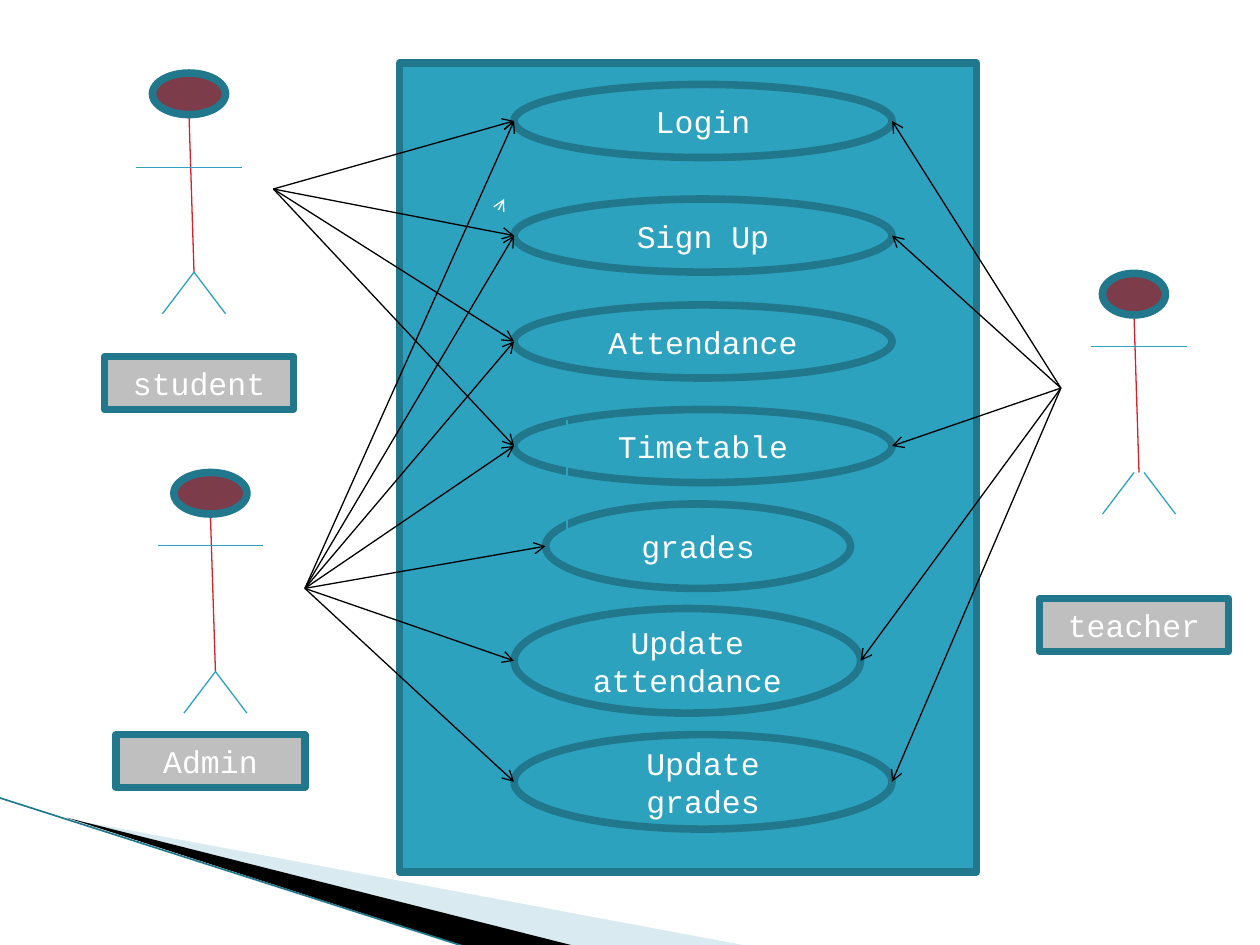
from dataclasses import dataclass

from lxml import etree
from pptx import Presentation
from pptx import util as u
from pptx.dml import color
from pptx.enum import shapes, text
from pptx.oxml import ns

COLORS = {
    "teal": "2DA2BF", "edge": "21788D", "head": "7D3C4A", "body": "DA1F28",
    "label": "BFBFBF", "pale": "A0CBDC", "rule": "97C5D8",
    "white": "FFFFFF", "black": "000000",
}
FONT = {"name": "Courier New", "size": u.Pt(18)}
FRAME = {"word_wrap": True, "vertical_anchor": text.MSO_ANCHOR.MIDDLE}
OVAL = shapes.MSO_SHAPE.OVAL
RECT = shapes.MSO_SHAPE.RECTANGLE


@dataclass
class UseCase:
    name: str
    left: float
    top: float
    width: float
    height: float

    @property
    def mid(self) -> float:
        return self.top + self.height / 2


@dataclass
class Actor:
    name: str
    x: float
    top: float
    head: float
    arm_x: float
    arm_y: float
    arm: float
    leg_gap: float
    label: tuple[float, float]
    hub: tuple[float, float]
    uses: list[str]


CASES = [
    UseCase("Login", 4.08, 0.67, 3, 0.58),
    UseCase("Sign Up", 4.08, 1.58, 3, 0.58),
    UseCase("Attendance", 4.08, 2.42, 3, 0.58),
    UseCase("Timetable", 4.08, 3.25, 3, 0.58),
    UseCase("grades", 4.33, 4, 2.42, 0.67),
    UseCase("Update attendance", 4.08, 4.83, 2.75, 0.83),
    UseCase("Update grades", 4.08, 5.83, 3, 0.75),
]
NAMES = [c.name for c in CASES]
ACTORS = [
    Actor("student", 1.5, 0.58, 0.58, 1.5, 1.33, 0.42, 0,
          (0.83, 2.83), (2.17, 1.5), NAMES[:4]),
    Actor("Admin", 1.67, 3.75, 0.58, 1.67, 4.33, 0.42, 0,
          (0.92, 5.83), (2.42, 4.67), NAMES),
    Actor("teacher", 9, 2.17, 0.5, 9.04, 2.75, 0.38, 0.04,
          (8.25, 4.75), (8.42, 3.08), NAMES[:2] + NAMES[3:4] + NAMES[5:]),
]

prs = Presentation()
prs.slide_width, prs.slide_height = u.Inches(10), u.Inches(7.5)
s = prs.slides.add_slide(prs.slide_layouts[6])


def rgb(key: str) -> color.RGBColor:
    return color.RGBColor.from_string(COLORS[key])


def apply(obj, values: dict) -> None:
    for name, value in values.items():
        setattr(obj, name, value)


def add_box(kind, left: float, top: float, width: float, height: float,
            fill: str, label: str = "") -> None:
    sp = s.shapes.add_shape(kind, *map(u.Inches, (left, top, width, height)))
    sp.shadow.inherit = False
    sp.fill.solid()
    sp.fill.fore_color.rgb = rgb(fill)
    sp.line.color.rgb = rgb("edge")
    sp.line.width = u.Pt(4.33)
    if label:
        tf = sp.text_frame
        apply(tf, FRAME)
        p = tf.paragraphs[0]
        p.alignment = text.PP_ALIGN.CENTER
        r = p.add_run()
        r.text = label
        apply(r.font, FONT)
        r.font.color.rgb = rgb("white")


def add_line(x1: float, y1: float, x2: float, y2: float, key: str,
             arrow: bool = False, width: float = 0.75) -> None:
    cx = s.shapes.add_connector(shapes.MSO_CONNECTOR.STRAIGHT,
                                *map(u.Inches, (x1, y1, x2, y2)))
    cx.line.color.rgb = rgb(key)
    cx.line.width = u.Pt(width)
    if arrow:
        etree.SubElement(cx.line._get_or_add_ln(), ns.qn("a:tailEnd"), type="arrow")
    etree.SubElement(cx._element.spPr, ns.qn("a:effectLst"))


def add_wedge(points: list[tuple[float, float]], key: str, alpha: int = 100) -> None:
    pts = [(u.Inches(x), u.Inches(y)) for x, y in points]
    fb = s.shapes.build_freeform(*pts[0])
    fb.add_line_segments(pts[1:], close=True)
    sp = fb.convert_to_shape()
    sp.shadow.inherit = False
    sp.fill.solid()
    sp.fill.fore_color.rgb = rgb(key)
    sp.line.fill.background()
    if alpha < 100:
        clr = sp._element.spPr.find(".//" + ns.qn("a:srgbClr"))
        etree.SubElement(clr, ns.qn("a:alpha"), val=str(alpha * 1000))


def add_actor(a: Actor) -> None:
    neck, hip_x, hip_y = a.top + 0.33, a.x + 0.04, a.top + 1.58
    add_line(a.x, neck, hip_x, hip_y, "body")
    add_line(a.arm_x - a.arm, a.arm_y, a.arm_x + a.arm, a.arm_y, "teal")
    for side in (-1, 1):
        x = hip_x + side * a.leg_gap
        add_line(x, hip_y, x + side * 0.25, hip_y + 0.33, "teal")
    add_box(OVAL, a.x - a.head / 2, a.top, a.head, 0.33, "head")
    add_box(RECT, *a.label, 1.5, 0.42, "label", a.name)


def add_links(a: Actor) -> None:
    for c in CASES:
        if c.name in a.uses:
            x = c.left if a.hub[0] < c.left else c.left + c.width
            add_line(*a.hub, x, c.mid, "black", arrow=True)


add_wedge([(0.55, 6.5), (5.95, 7.51), (4.56, 7.51)], "pale", 40)
add_wedge([(0.53, 6.49), (4.57, 7.51), (3.72, 7.52)], "black")
add_line(-0.01, 6.33, 3.71, 7.52, "edge", width=0.95)
add_box(RECT, 3.17, 0.5, 4.58, 6.42, "teal")
for case in CASES:
    add_box(OVAL, case.left, case.top, case.width, case.height, "teal", case.name)
add_line(3.99, 1.6, 4, 1.58, "white", arrow=True)
add_line(4.5, 3.33, 4.5, 4.33, "teal", arrow=True)
for actor in ACTORS:
    add_actor(actor)
for actor in ACTORS:
    add_links(actor)

prs.save("out.pptx")
